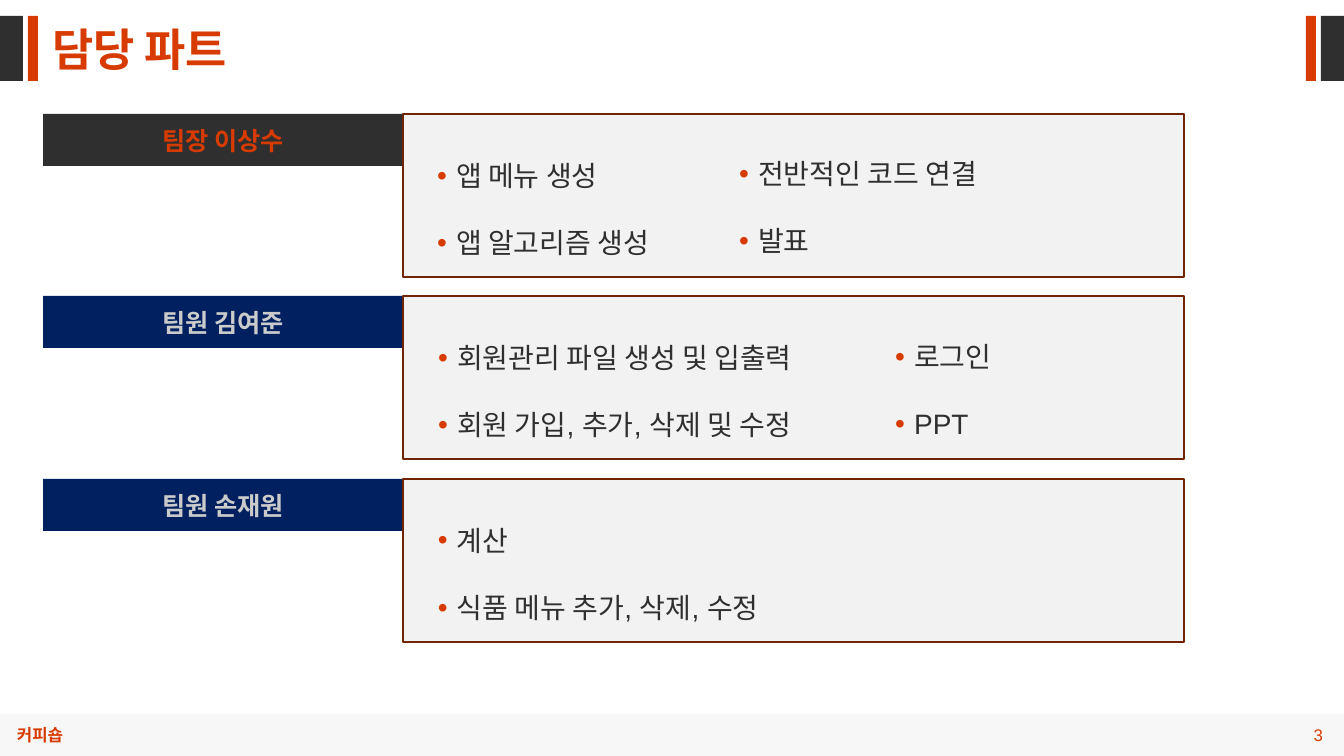
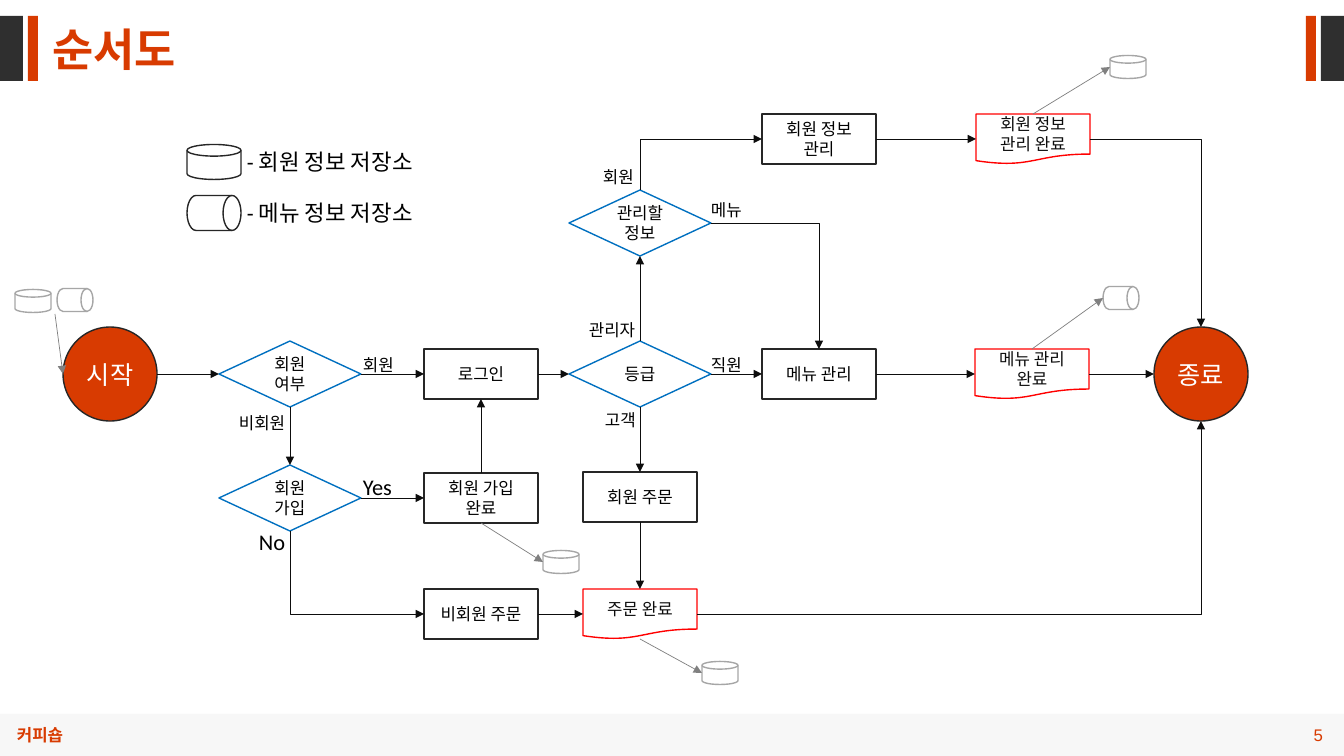
from dataclasses import dataclass

from lxml import etree
from pptx import Presentation
from pptx.dml.color import RGBColor
from pptx.enum.shapes import MSO_CONNECTOR, MSO_SHAPE
from pptx.enum.text import MSO_ANCHOR, MSO_AUTO_SIZE, PP_ALIGN
from pptx.oxml.ns import qn
from pptx.util import Emu, Pt

SCALE = 914400 / 100.8
SLIDE_WIDTH, SLIDE_HEIGHT = 1344, 756
TOP, LEFT, BOTTOM, RIGHT = range(4)


@dataclass(frozen=True)
class Theme:
    accent: str = "D83B01"
    dark: str = "2F2F2F"
    navy: str = "002060"
    silver: str = "CBCBCB"
    panel: str = "F2F2F2"
    panel_line: str = "702500"
    footer: str = "F7F7F7"
    white: str = "FFFFFF"
    black: str = "000000"
    outline: str = "262626"
    decision: str = "0070C0"
    document: str = "FF0000"
    flow: str = "0D0D0D"
    storage: str = "A6A6A6"
    storage_link: str = "808080"
    heading_font: str = "Arial"
    diagram_font: str = "Calibri"
    title_size: int = 32
    list_size: int = 20
    header_size: int = 18
    legend_size: int = 16
    small_size: int = 12


THEME = Theme()


# Basic helpers
def px(value):
    return Emu(round(value * SCALE))


def rgb(value):
    return RGBColor.from_string(value)


def place(shape, left, top, width, height):
    shape.left, shape.top = px(left), px(top)
    shape.width, shape.height = px(width), px(height)


def style_paragraph(paragraph, size, color, font=THEME.heading_font, bold=False,
                    align=PP_ALIGN.LEFT):
    paragraph.alignment = align
    paragraph.font.name = font
    paragraph.font.size = Pt(size)
    paragraph.font.bold = bold
    paragraph.font.color.rgb = rgb(color)


def write(shape, text, size, color, anchor=MSO_ANCHOR.TOP, **style):
    frame = shape.text_frame
    frame.word_wrap = True
    frame.auto_size = MSO_AUTO_SIZE.NONE
    frame.vertical_anchor = anchor
    frame.text = text
    for paragraph in frame.paragraphs:
        style_paragraph(paragraph, size, color, **style)


def add_text(slide, box, text, size, color, **style):
    shape = slide.shapes.add_textbox(*map(px, box))
    write(shape, text, size, color, **style)
    return shape


def add_preset(slide, preset, box, fill=None, line=None):
    shape = slide.shapes.add_shape(preset, *map(px, box))
    shape.shadow.inherit = False
    if fill:
        shape.fill.solid()
        shape.fill.fore_color.rgb = rgb(fill)
    else:
        shape.fill.background()
    if line:
        shape.line.color.rgb = rgb(line)
        shape.line.width = Pt(1)
    else:
        shape.line.fill.background()
    return shape


# Parts shared by all slides
def decorate_master(presentation, slide):
    """Draw bands and footer once and hand them to the slide master."""
    parts = []
    for offset, width, color in ((0, 23, THEME.dark), (28, 10, THEME.accent)):
        for left in (offset, SLIDE_WIDTH - offset - width):
            parts.append(add_preset(slide, MSO_SHAPE.RECTANGLE, (left, 16, width, 65), color))
    parts.append(add_preset(slide, MSO_SHAPE.RECTANGLE,
                            (0, 714, SLIDE_WIDTH, SLIDE_HEIGHT - 714), THEME.footer))
    parts.append(add_text(slide, (7, 720, 185, 30), "커피숍", THEME.small_size, THEME.accent,
                          bold=True, anchor=MSO_ANCHOR.MIDDLE))
    tree = presentation.slide_master.shapes._spTree
    for number, part in enumerate(parts, 100):
        part._element.nvSpPr.cNvPr.set("id", str(number))
        tree.append(part._element)


def add_slide(presentation, layout_index, title, page):
    slide = presentation.slides.add_slide(presentation.slide_layouts[layout_index])
    place(slide.shapes.title, 42, 27, 672, 54)
    write(slide.shapes.title, title, THEME.title_size, THEME.accent, bold=True)
    slide.shapes.title.text_frame.paragraphs[0].line_spacing = 0.8
    add_text(slide, (1245, 720, 88, 30), page, THEME.small_size, THEME.accent,
             anchor=MSO_ANCHOR.MIDDLE, align=PP_ALIGN.RIGHT)
    return slide


# Team roles
def add_bullet(paragraph):
    properties = paragraph._p.get_or_add_pPr()
    properties.set("marL", str(px(19)))
    properties.set("indent", str(-px(19)))
    color = etree.SubElement(properties, qn("a:buClr"))
    etree.SubElement(color, qn("a:srgbClr"), val=THEME.accent)
    etree.SubElement(properties, qn("a:buFont"), typeface="Arial")
    etree.SubElement(properties, qn("a:buChar"), char="•")


def fill_list(slide, placeholders, box, items):
    if placeholders:
        shape = placeholders.pop(0)
        slide.shapes._spTree.append(shape._element)  # bring in front of the panel
        place(shape, *box)
    else:
        shape = slide.shapes.add_textbox(*map(px, box))
    frame = shape.text_frame
    frame.text = "\n".join(items)
    for paragraph in frame.paragraphs:
        add_bullet(paragraph)
        paragraph.line_spacing = 2.0
        paragraph.space_before = Pt(0)
    write_style = dict(size=THEME.list_size, color=THEME.dark)
    for paragraph in frame.paragraphs:
        style_paragraph(paragraph, **write_style)
    frame.word_wrap = True
    frame.auto_size = MSO_AUTO_SIZE.NONE
    frame.vertical_anchor = MSO_ANCHOR.TOP


def add_member(slide, placeholders, left, top, name, colors, columns):
    fill, text_color = colors
    header = add_preset(slide, MSO_SHAPE.RECTANGLE, (left, top, 360, 52), fill)
    write(header, name, THEME.header_size, text_color, bold=True,
          anchor=MSO_ANCHOR.MIDDLE, align=PP_ALIGN.CENTER)
    add_preset(slide, MSO_SHAPE.RECTANGLE, (left + 360, top, 781, 163),
               THEME.panel, THEME.panel_line)
    for offset, rise, width, items in columns:
        fill_list(slide, placeholders, (left + offset, top + rise, width, 150), items)


def build_roles(slide):
    placeholders = [shape for shape in slide.placeholders if shape.placeholder_format.idx]
    leader, member = (THEME.dark, THEME.accent), (THEME.navy, THEME.silver)
    members = [
        ("팀장 이상수", leader, [(384, 6, 300, ["앱 메뉴 생성", "앱 알고리즘 생성"]),
                            (686, 4, 410, ["전반적인 코드 연결", "발표"])]),
        ("팀원 김여준", member, [(385, 6, 450, ["회원관리 파일 생성 및 입출력",
                                        "회원 가입, 추가, 삭제 및 수정"]),
                            (842, 5, 290, ["로그인", "PPT"])]),
        ("팀원 손재원", member, [(385, 6, 730, ["계산", "식품 메뉴 추가, 삭제, 수정"])]),
    ]
    for index, (name, colors, columns) in enumerate(members):
        add_member(slide, placeholders, 43, 114 + index * 365 // 2, name, colors, columns)


# Flowchart: kind -> preset, width, height, fill, line, text colour, text size
NODE_KINDS = {
    "terminal": (MSO_SHAPE.OVAL, 94, 94, THEME.accent, THEME.outline, THEME.white,
                 THEME.header_size),
    "process": (MSO_SHAPE.FLOWCHART_PROCESS, 114, 50, None, THEME.outline, THEME.black,
                THEME.small_size),
    "decision": (MSO_SHAPE.FLOWCHART_DECISION, 142, 66, None, THEME.decision, THEME.black,
                 THEME.small_size),
    "document": (MSO_SHAPE.FLOWCHART_DOCUMENT, 114, 50, THEME.white, THEME.document, THEME.flow,
                 THEME.small_size),
}
# Name, kind, centre x, centre y, text
NODES = [
    ("start", "terminal", 110, 374, "시작"),
    ("end", "terminal", 1201, 374, "종료"),
    ("is_member", "decision", 290, 374, "회원\n여부"),
    ("join", "decision", 290, 498, "회원\n가입"),
    ("login", "process", 481, 374, "로그인"),
    ("joined", "process", 481, 498, "회원 가입 완료"),
    ("guest_order", "process", 481, 614, "비회원 주문"),
    ("grade", "decision", 640, 374, "등급"),
    ("target", "decision", 640, 223, "관리할 정보"),
    ("member_order", "process", 640, 497, "회원 주문"),
    ("ordered", "document", 640, 614, "주문 완료"),
    ("manage_menu", "process", 819, 374, "메뉴 관리"),
    ("manage_member", "process", 819, 139, "회원 정보 관리"),
    ("member_done", "document", 1033, 139, "회원 정보 관리 완료"),
    ("menu_done", "document", 1032, 374, "메뉴 관리 완료"),
]
STRAIGHT_LINKS = [
    ("start", RIGHT, "is_member", LEFT), ("is_member", RIGHT, "login", LEFT),
    ("is_member", BOTTOM, "join", TOP), ("join", RIGHT, "joined", LEFT),
    ("joined", TOP, "login", BOTTOM), ("login", RIGHT, "grade", LEFT),
    ("grade", TOP, "target", BOTTOM), ("grade", BOTTOM, "member_order", TOP),
    ("grade", RIGHT, "manage_menu", LEFT), ("member_order", BOTTOM, "ordered", TOP),
    ("guest_order", RIGHT, "ordered", LEFT), ("manage_menu", RIGHT, "menu_done", LEFT),
    ("manage_member", RIGHT, "member_done", LEFT), ("menu_done", RIGHT, "end", LEFT),
]
BENT_LINKS = [
    ("join", BOTTOM, "guest_order", LEFT), ("target", TOP, "manage_member", LEFT),
    ("target", RIGHT, "manage_menu", TOP), ("member_done", RIGHT, "end", TOP),
    ("ordered", RIGHT, "end", BOTTOM),
]
# Text, left, top, size
LABELS = [
    ("회원", 353, 350, THEME.small_size), ("비회원", 229, 408, THEME.small_size),
    ("No", 249, 523, THEME.legend_size), ("Yes", 353, 468, THEME.legend_size),
    ("고객", 595, 405, THEME.small_size), ("직원", 701, 350, THEME.small_size),
    ("관리자", 579, 315, THEME.small_size), ("메뉴", 701, 195, THEME.small_size),
    ("회원", 593, 162, THEME.small_size),
]
# Node, side, centre of its storage, menu storage or not
STORAGES = [
    ("joined", BOTTOM, 561, 562, False), ("ordered", BOTTOM, 720, 673, False),
    ("member_done", TOP, 1128, 67, False), ("menu_done", TOP, 1121, 298, True),
]


def add_node(slide, kind, center_x, center_y, text):
    preset, width, height, fill, line, color, size = NODE_KINDS[kind]
    box = (center_x - width / 2, center_y - height / 2, width, height)
    shape = add_preset(slide, preset, box, fill, line)
    write(shape, text, size, color, font=THEME.diagram_font,
          anchor=MSO_ANCHOR.MIDDLE, align=PP_ALIGN.CENTER)
    return shape


def add_disk(slide, center_x, center_y, length, depth, line, lying):
    width, height = (depth, length) if lying else (length, depth)
    box = (center_x - width / 2, center_y - height / 2, width, height)
    disk = add_preset(slide, MSO_SHAPE.FLOWCHART_MAGNETIC_DISK, box, THEME.white, line)
    disk.rotation = 90 if lying else 0


def side_point(shape, side):
    across, down = {TOP: (1, 0), LEFT: (0, 1), BOTTOM: (1, 2), RIGHT: (2, 1)}[side]
    return (shape.left + shape.width * across // 2, shape.top + shape.height * down // 2)


def add_arrow(slide, begin, end, color, kind=MSO_CONNECTOR.STRAIGHT):
    connector = slide.shapes.add_connector(kind, *begin, *end)
    connector.line.color.rgb = rgb(color)
    connector.line.width = Pt(0.5)
    etree.SubElement(connector.line._get_or_add_ln(), qn("a:tailEnd"), type="triangle")
    etree.SubElement(connector._element.spPr, qn("a:effectLst"))
    return connector


def link_nodes(slide, start, start_side, end, end_side, bent=False):
    kind = MSO_CONNECTOR.ELBOW if bent else MSO_CONNECTOR.STRAIGHT
    connector = add_arrow(slide, side_point(start, start_side), side_point(end, end_side),
                          THEME.flow, kind)
    # Ovals number their connection sites differently, except for the top one
    if start.auto_shape_type != MSO_SHAPE.OVAL:
        connector.begin_connect(start, start_side)
    if end.auto_shape_type != MSO_SHAPE.OVAL or end_side == TOP:
        connector.end_connect(end, end_side)
    if bent:
        geometry = connector._element.spPr.find(qn("a:prstGeom"))
        if start_side in (LEFT, RIGHT):
            geometry.set("prst", "bentConnector2")
        else:
            guides = geometry.find(qn("a:avLst"))
            etree.SubElement(guides, qn("a:gd"), name="adj1", fmla="val 0")


def add_legend(slide, left, top):
    for row, text in enumerate(("- 회원 정보 저장소", "- 메뉴 정보 저장소")):
        middle = top + 18 + row * 51
        add_disk(slide, left + 27, middle, 54, 35, THEME.outline, row == 1)
        add_text(slide, (left + 50, middle - 19, 222, 37), text, THEME.legend_size,
                 THEME.black, font=THEME.diagram_font)


def build_flowchart(slide):
    nodes = {name: add_node(slide, *details) for name, *details in NODES}
    for links, bent in ((STRAIGHT_LINKS, False), (BENT_LINKS, True)):
        for start, start_side, end, end_side in links:
            link_nodes(slide, nodes[start], start_side, nodes[end], end_side, bent)
    for text, left, top, size in LABELS:
        add_text(slide, (left, top, 72, 30), text, size, THEME.black, font=THEME.diagram_font)
    add_legend(slide, 187, 144)

    # Storages read at the start and written by later steps
    add_disk(slide, 33, 301, 36, 23, THEME.storage, False)
    add_disk(slide, 75, 300, 36, 23, THEME.storage, True)
    add_arrow(slide, (px(55), px(314)), side_point(nodes["start"], LEFT), THEME.storage_link)
    for name, side, center_x, center_y, lying in STORAGES:
        add_disk(slide, center_x, center_y, 36, 23, THEME.storage, lying)
        arrow = add_arrow(slide, side_point(nodes[name], side),
                          (px(center_x - 18), px(center_y)), THEME.storage_link)
        arrow.begin_connect(nodes[name], side)


def main():
    presentation = Presentation()
    presentation.slide_width, presentation.slide_height = px(SLIDE_WIDTH), px(SLIDE_HEIGHT)
    roles = add_slide(presentation, 4, "담당 파트", "3")
    decorate_master(presentation, roles)
    build_roles(roles)
    build_flowchart(add_slide(presentation, 5, "순서도", "5"))
    presentation.save("out.pptx")


if __name__ == "__main__":
    main()
